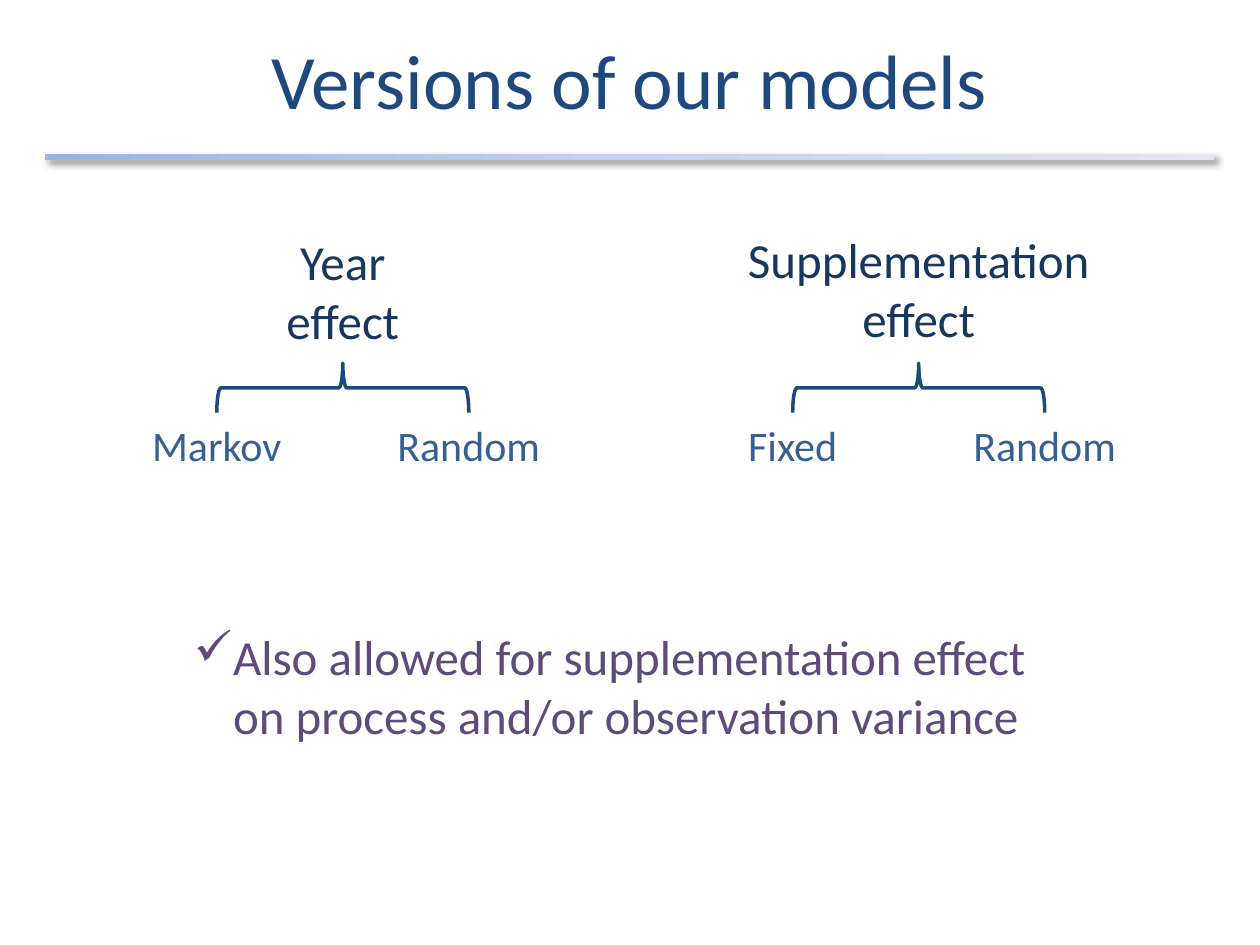
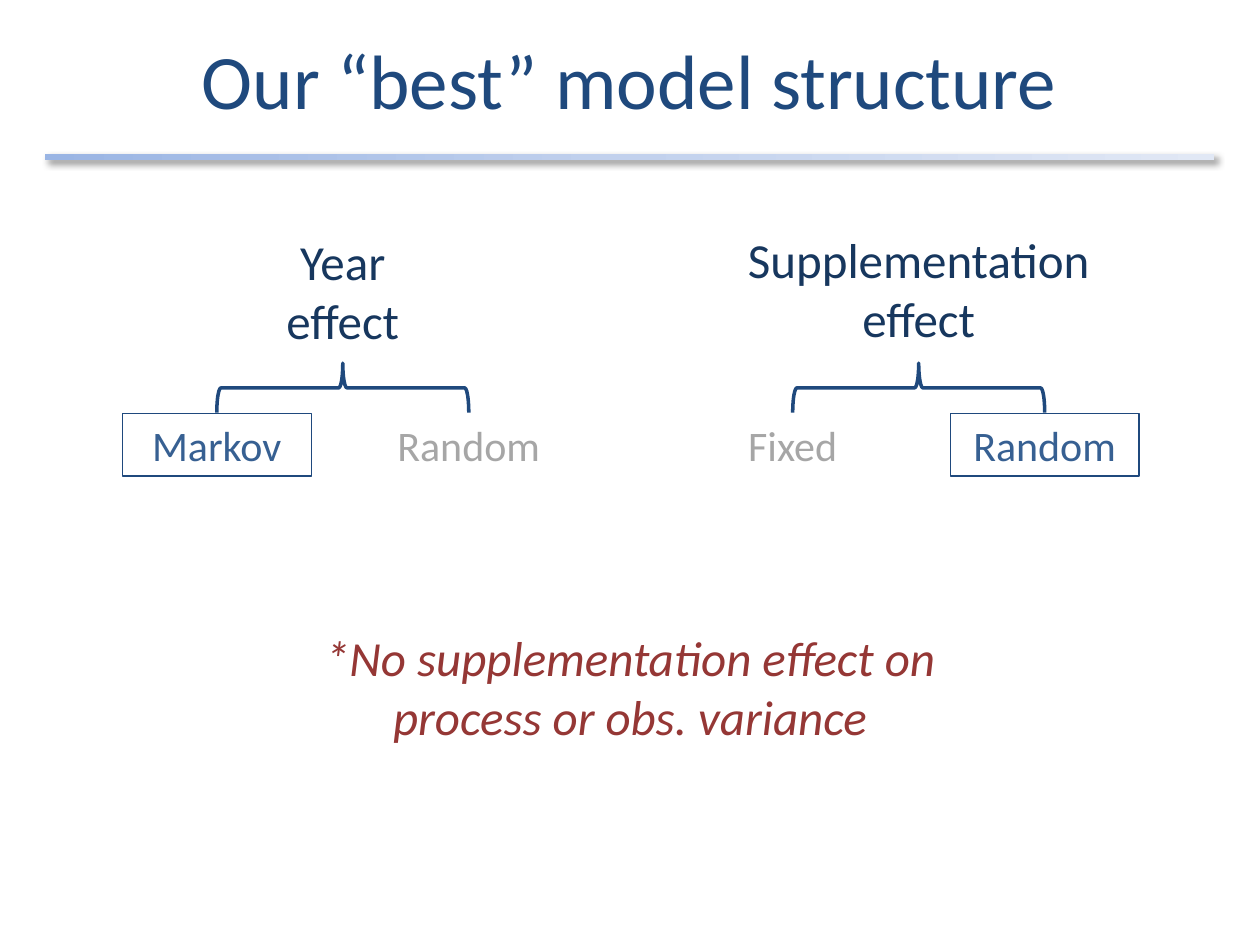
from lxml.etree import SubElement
from pptx import Presentation
from pptx.dml.color import RGBColor
from pptx.enum.shapes import MSO_SHAPE
from pptx.enum.text import MSO_ANCHOR, PP_ALIGN
from pptx.oxml import parse_xml
from pptx.oxml.ns import nsdecls, qn
from pptx.util import Cm, Pt

NAVY, DARK, BLUE, GREY = "1F497D", "17375E", "376092", "A6A6A6"
PURPLE, RED = "604A7B", "953735"
FADE = [(0, "9AB5E4"), (50, "C2D1ED"), (100, "E1E8F5")]
STEP = 5.08  # between the two options of an effect
WIDE = 3.81  # width of an option

hue = RGBColor.from_string


def write(slide, text, x, y, w, h, size=28, color=NAVY, italic=False,
          after=18, anchor=MSO_ANCHOR.TOP, mark=None, frame=False):
    """Put text on the slide, in a framed box or with a bullet if asked."""
    place = Cm(x), Cm(y), Cm(w), Cm(h)
    if frame:
        box = slide.shapes.add_shape(MSO_SHAPE.RECTANGLE, *place)
        box.shadow.inherit = False
        box.fill.background()
        box.line.color.rgb = hue(NAVY)
        box.line.width = Pt(0.75)
    else:
        box = slide.shapes.add_textbox(*place)
    body = box.text_frame
    body.word_wrap = True
    body.vertical_anchor = anchor
    para = body.paragraphs[0]
    para.alignment = PP_ALIGN.LEFT if mark else PP_ALIGN.CENTER
    para.space_after = Pt(after)
    if mark:
        props = para._p.get_or_add_pPr()
        props.set("marL", str(Cm(0.79)))
        props.set("indent", str(-Cm(0.79)))
        SubElement(props, qn("a:buChar")).set("char", mark)
    run = para.add_run()
    run.text = text
    font = run.font
    font.name, font.size, font.italic = "Calibri", Pt(size), italic
    font.color.rgb = hue(color)


# Effects: heading, its width, top, middle of the tree, options
effects = [
    ("Year effect", 4.57, 4.55, 6.91, ("Markov", "Random")),
    ("Supplementation effect", 7.92, 4.5, 18.52, ("Fixed", "Random")),
]

# Slides: title, chosen option of each effect, note and its format
pages = [
    ("Versions of our models", None,
     "Also allowed for supplementation effect on process and/or "
     "observation variance",
     dict(x=3.66, y=12.5, w=18.08, h=2.64, color=PURPLE, mark="✓")),
    ("Our “best” model structure", ("Markov", "Random"),
     "*No supplementation effect on process or obs. variance",
     dict(x=5.84, y=12.52, w=13.72, h=2.64, color=RED, italic=True)),
]

deck = Presentation()
deck.slide_width, deck.slide_height = Cm(25.4), Cm(19.05)

for title, best, note, style in pages:
    slide = deck.slides.add_slide(deck.slide_layouts[6])

    # Title
    write(slide, title, 2.18, 0, 21.03, 3.17, size=44, after=0,
          anchor=MSO_ANCHOR.MIDDLE)

    # Fading band with a soft shadow
    band = slide.shapes.add_shape(
        MSO_SHAPE.RECTANGLE, Cm(0.91), Cm(3.1), Cm(23.57), Cm(0.13))
    band.line.fill.background()
    band.fill.gradient()
    band.fill.gradient_angle = 0
    stops = band._element.spPr.find(".//" + qn("a:gsLst"))
    stops.clear()
    for pos, tint in FADE:
        stop = SubElement(stops, qn("a:gs"), pos=str(pos * 1000))
        SubElement(stop, qn("a:srgbClr"), val=tint)
    band.shadow.inherit = False
    band._element.spPr.find(qn("a:effectLst")).append(parse_xml(
        f'<a:outerShdw {nsdecls("a")} blurRad="{Pt(4)}" dist="{Pt(3)}" '
        'dir="2700000" algn="tl" rotWithShape="0"><a:srgbClr val="000000">'
        '<a:alpha val="40000"/></a:srgbClr></a:outerShdw>'))

    # Trees: heading, brace and two options
    for i, (head, width, top, mid, names) in enumerate(effects):
        write(slide, head, mid - width / 2, top, width, 2.6, color=DARK)

        brace = slide.shapes.add_shape(
            MSO_SHAPE.LEFT_BRACE, Cm(mid - 0.5), Cm(5.28), Cm(1), Cm(STEP))
        brace.rotation = 90
        brace.shadow.inherit = False
        brace.fill.background()
        brace.line.color.rgb = hue(NAVY)
        brace.line.width = Pt(2)

        for side, name in zip((-1, 1), names):
            won = best is not None and name == best[i]
            write(slide, name, mid + side * STEP / 2 - WIDE / 2, 8.33,
                  WIDE, 1.27, size=24, frame=won,
                  color=BLUE if won or not best else GREY)

    # Note
    write(slide, note, **style)

deck.save("out.pptx")
